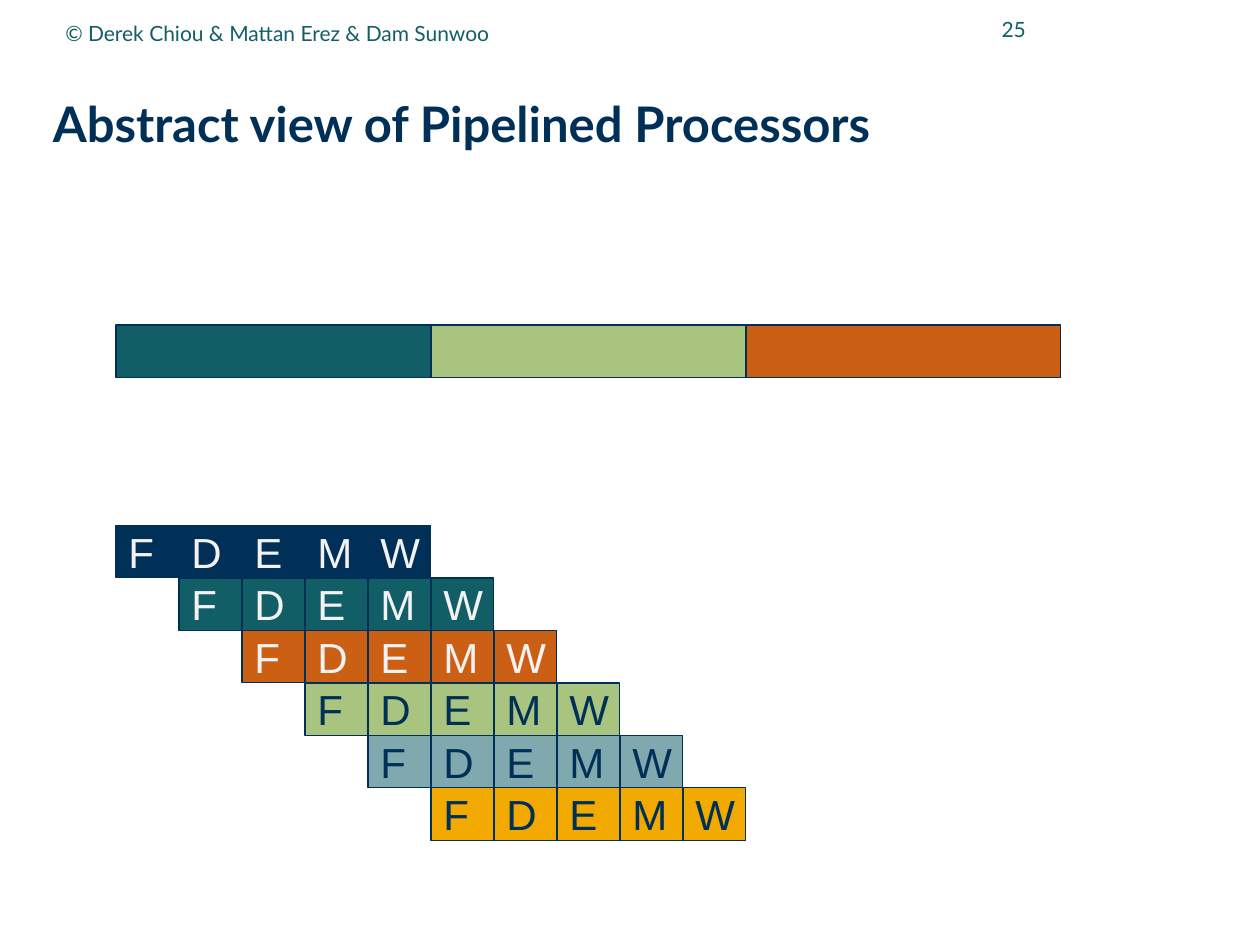
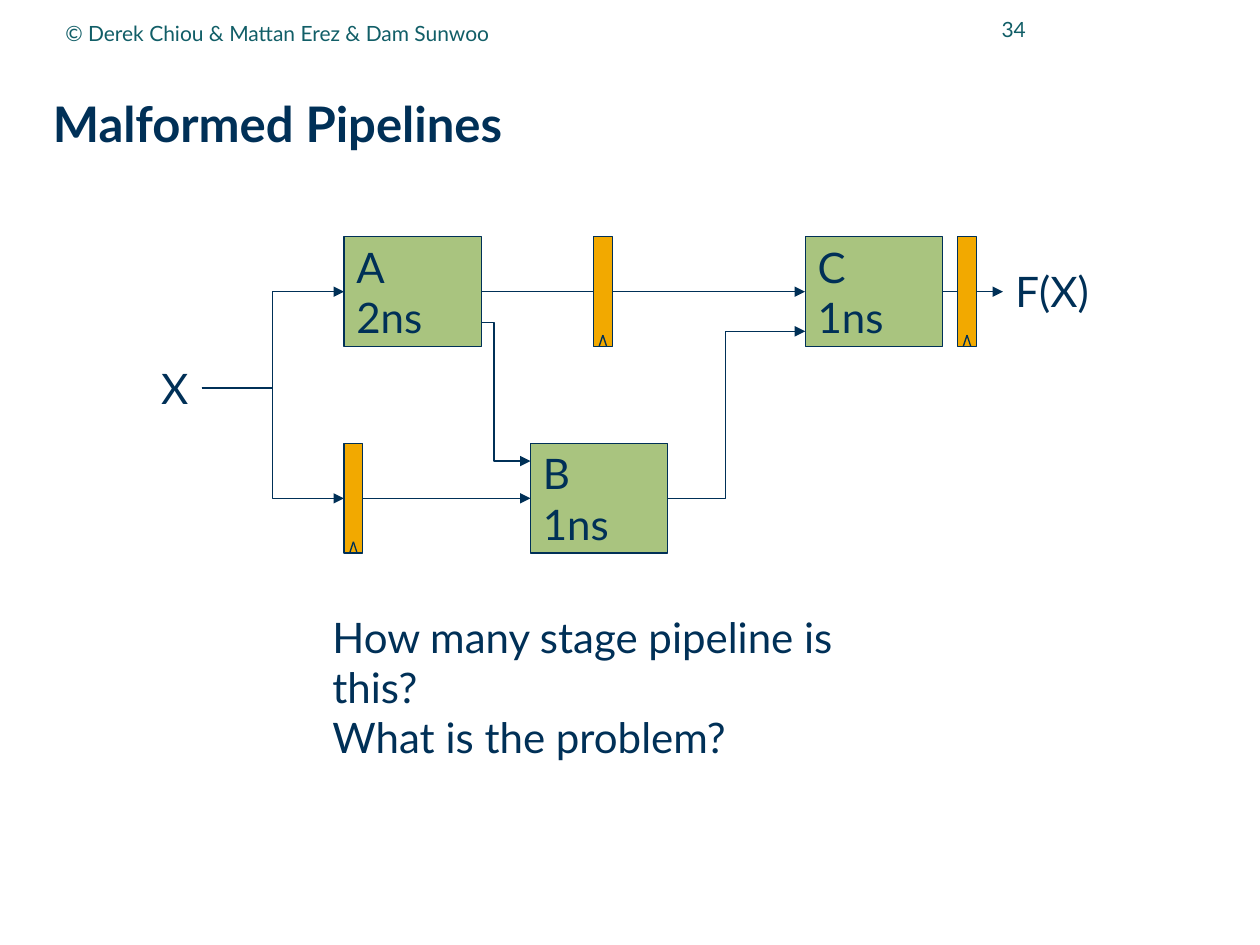
import pptx
import pptx.dml.color
import pptx.enum.shapes
import pptx.enum.text
import pptx.oxml.ns
import pptx.util
from lxml import etree

NAVY, TEAL, ORANGE = "003057", "115E67", "CB6015"
GREEN, STEEL, GOLD, PALE = "A9C47F", "7FA9AE", "F2A900", "F2F2F2"
FONT, STAGE_FONT = "Lato", "Arial"
COPYRIGHT = "© Derek Chiou & Mattan Erez & Dam Sunwoo"

# Abstract view: every instruction starts one column later than the one above
STAGES = "FDEMW"
SEQUENTIAL_FILLS = [TEAL, GREEN, ORANGE]
PIPELINED_COLOURS = [(NAVY, PALE), (TEAL, PALE), (ORANGE, PALE),
                     (GREEN, NAVY), (STEEL, NAVY), (GOLD, NAVY)]
GRID_LEFT, SEQUENTIAL_TOP, PIPELINED_TOP = 0.92, 2.58, 4.17
COLUMN, ROW = 0.5, 5 / 12

# Malformed pipeline: two lanes of blocks and registers
LANE_TOPS = {"upper": 1.88, "lower": 3.52}
BLOCK_WIDTH, REGISTER_WIDTH, LANE_HEIGHT = 1.09, 0.15, 0.87
BLOCKS = [("A", "2ns", 2.73, "upper"), ("B", "1ns", 4.21, "lower"),
          ("C", "1ns", 6.39, "upper")]
REGISTERS = [(4.71, "upper"), (2.73, "lower"), (7.6, "upper")]
INPUT_END = (1.6, 3.08)
OUTPUT_LEFT = 7.96
QUESTIONS = ["How many stage pipeline is this?", "What is the problem?"]

SHAPE = pptx.enum.shapes.MSO_SHAPE
CONNECTOR = pptx.enum.shapes.MSO_CONNECTOR
ANCHOR = pptx.enum.text.MSO_ANCHOR
ALIGN = pptx.enum.text.PP_ALIGN
inches = pptx.util.Inches


def rgb(colour):
    return pptx.dml.color.RGBColor.from_string(colour)


def write(shape, lines, size=24, colour=NAVY, font=FONT, bold=False,
          align=ALIGN.LEFT, anchor=ANCHOR.MIDDLE, wrap=False):
    frame = shape.text_frame
    frame.word_wrap = wrap
    frame.vertical_anchor = anchor
    frame.text = "\n".join(lines)
    for paragraph in frame.paragraphs:
        paragraph.alignment = align
        paragraph.font.name = font
        paragraph.font.size = pptx.util.Pt(size)
        paragraph.font.bold = bold
        paragraph.font.color.rgb = rgb(colour)
    return frame


def add_label(slide, lines, left, top, width, height, **style):
    box = slide.shapes.add_textbox(*map(inches, (left, top, width, height)))
    return write(box, lines, **style)


def outline(shape, arrow=False):
    shape.line.color.rgb = rgb(NAVY)
    shape.line.width = pptx.util.Pt(0.75)
    if arrow:
        qn = pptx.oxml.ns.qn
        line = shape.element.spPr.find(qn("a:ln"))
        etree.SubElement(line, qn("a:tailEnd"), type="triangle")


def add_box(shapes, left, top, width, height, fill):
    box = shapes.add_shape(SHAPE.RECTANGLE, *map(inches, (left, top, width, height)))
    box.shadow.inherit = False
    box.fill.solid()
    box.fill.fore_color.rgb = rgb(fill)
    outline(box)
    return box


def add_wire(shapes, start, end, kind=CONNECTOR.STRAIGHT, arrow=True):
    wire = shapes.add_connector(kind, *map(inches, (*start, *end)))
    outline(wire, arrow)
    etree.SubElement(wire.element.spPr, pptx.oxml.ns.qn("a:effectLst"))


def add_routed_wire(shapes, start, bend_x, end):
    """Wire that turns twice, at a chosen column."""
    route = [start, (bend_x, start[1]), (bend_x, end[1]), end]
    first, *rest = [(inches(x), inches(y)) for x, y in route]
    builder = shapes.build_freeform(*first)
    builder.add_line_segments(rest, close=False)
    wire = builder.convert_to_shape()
    wire.shadow.inherit = False
    wire.fill.background()
    outline(wire, arrow=True)


def add_register(slide, left, top):
    """Clocked register with its notch at the foot."""
    parts = slide.shapes.add_group_shape().shapes
    add_box(parts, left, top, REGISTER_WIDTH, LANE_HEIGHT, GOLD)
    foot, middle = top + LANE_HEIGHT, left + REGISTER_WIDTH / 2
    tip = (middle, foot - 0.09)
    add_wire(parts, (middle - 0.03, foot), tip, arrow=False)
    add_wire(parts, tip, (middle + 0.03, foot), arrow=False)


def start_slide(deck, title, number):
    slide = deck.slides.add_slide(deck.slide_layouts[6])
    heading = add_label(slide, [title], 0.42, 0.5, 9.41, 0.98,
                        size=28, bold=True, wrap=True)
    heading.margin_left = heading.margin_right = 0
    heading.margin_top = heading.margin_bottom = 0
    heading.paragraphs[0].line_spacing = 0.99
    add_label(slide, [str(number)], 7.33, -0.02, 0.91, 0.5,
              size=12, colour=TEAL, align=ALIGN.RIGHT, wrap=True)
    add_label(slide, [COPYRIGHT], 0.42, 0.03, 5.67, 0.46,
              size=12, colour=TEAL, wrap=True)
    return slide


def build_abstract_view(deck):
    slide = start_slide(deck, "Abstract view of Pipelined Processors", 25)
    for row, (fill, ink) in enumerate(PIPELINED_COLOURS):
        for column, stage in enumerate(STAGES, start=row):
            cell = add_box(slide.shapes, GRID_LEFT + column * COLUMN,
                           PIPELINED_TOP + row * ROW, COLUMN, ROW, fill)
            write(cell, [stage], colour=ink, font=STAGE_FONT)
    span = len(STAGES) * COLUMN
    for index, fill in enumerate(SEQUENTIAL_FILLS):
        add_box(slide.shapes, GRID_LEFT + index * span, SEQUENTIAL_TOP, span, ROW, fill)


def build_malformed_pipeline(deck):
    slide = start_slide(deck, "Malformed Pipelines", 34)
    shapes = slide.shapes
    lefts = {}
    for name, delay, left, lane in BLOCKS:
        lefts[name] = left
        block = add_box(shapes, left, LANE_TOPS[lane], BLOCK_WIDTH, LANE_HEIGHT, GREEN)
        write(block, [name, delay])
    rights = {name: left + BLOCK_WIDTH for name, left in lefts.items()}
    upper, lower = (top + LANE_HEIGHT / 2 for top in LANE_TOPS.values())

    for lane_middle in (upper, lower):
        add_wire(shapes, INPUT_END, (lefts["A"], lane_middle), CONNECTOR.ELBOW)
    add_wire(shapes, (rights["A"], upper), (lefts["C"], upper))
    add_wire(shapes, (rights["C"], upper), (OUTPUT_LEFT, upper))
    add_label(slide, ["X"], 1.18, 2.83, 0.42, 0.5, anchor=ANCHOR.TOP)
    add_label(slide, ["F(X)"], OUTPUT_LEFT, 2.06, 0.81, 0.5, anchor=ANCHOR.TOP)
    for left, lane in REGISTERS:
        add_register(slide, left, LANE_TOPS[lane])
    add_routed_wire(shapes, (rights["B"], lower), 5.76, (lefts["C"], 2.63))
    add_wire(shapes, (lefts["A"] + REGISTER_WIDTH, lower), (lefts["B"], lower))
    add_label(slide, QUESTIONS, 2.54, 4.8, 4.9, 0.91, anchor=ANCHOR.TOP, wrap=True)
    add_routed_wire(shapes, (rights["A"], 2.56), 3.92, (lefts["B"], 3.66))


def main():
    deck = pptx.Presentation()
    deck.slide_width, deck.slide_height = inches(10), inches(7.5)
    build_abstract_view(deck)
    build_malformed_pipeline(deck)
    deck.save("out.pptx")


if __name__ == "__main__":
    main()
